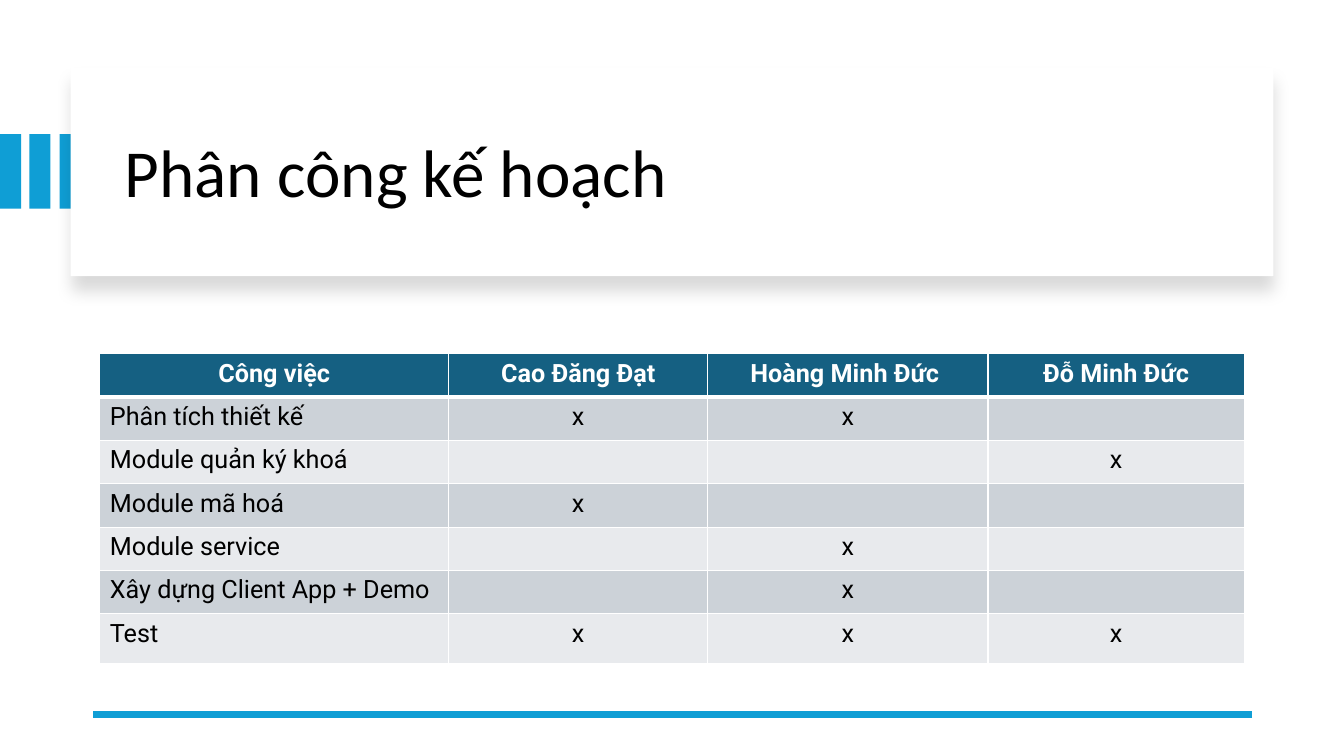
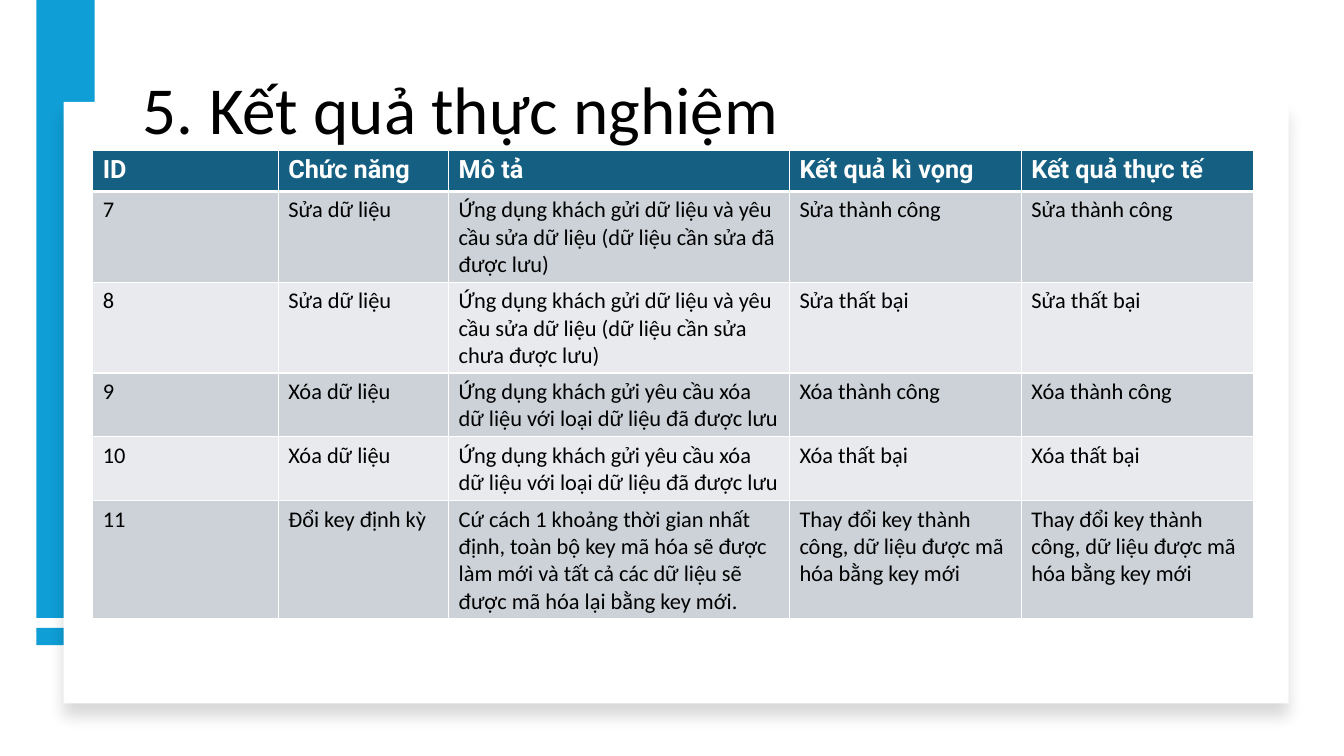
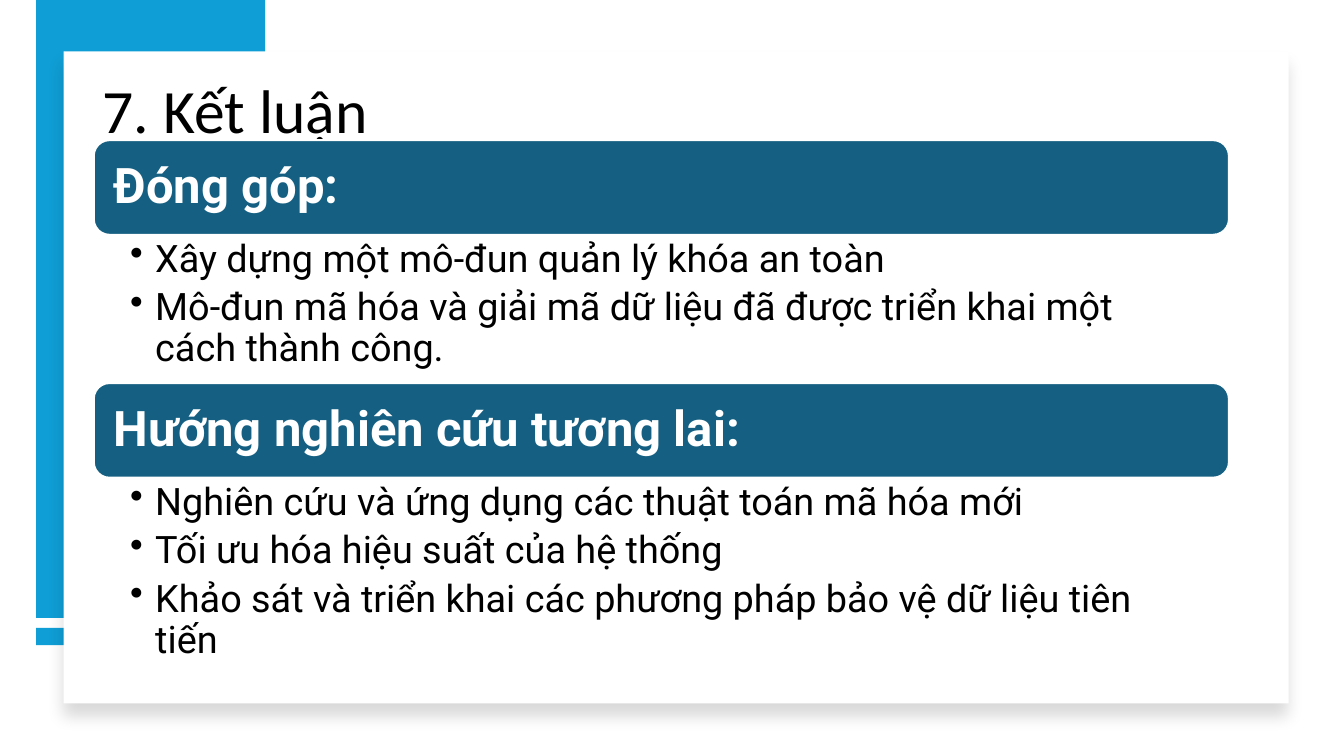
from lxml.etree import SubElement
from pptx import Presentation
from pptx.dml.color import RGBColor
from pptx.enum.shapes import MSO_CONNECTOR as CONN, MSO_SHAPE as SHAPE
from pptx.enum.text import MSO_ANCHOR as ANCHOR, PP_ALIGN as ALIGN
from pptx.oxml.ns import qn
from pptx.util import Emu, Inches, Pt


def rgb(value):
    return RGBColor.from_string(value)


def add_xml(parent, tag, **attrs):
    return SubElement(parent, qn(tag), {k: str(v) for k, v in attrs.items()})


class Deck:
    BLUE, TEAL = "0F9ED5", "156082"
    WHITE, BLACK = "FFFFFF", "000000"
    BANDS = ("CCD2D8", "E8EAED")
    HEAD_FONT, BODY_FONT = "Calibri", "Roboto"

    def __init__(self):
        self.prs = Presentation()
        self.prs.slide_width, self.prs.slide_height = Inches(13.33), Inches(7.5)
        self.s = None

    def new_slide(self):
        self.s = self.prs.slides.add_slide(self.prs.slide_layouts[6])

    def run(self, p, text, size, font, color=BLACK, bold=False):
        r = p.add_run()
        r.text = text
        r.font.size, r.font.name, r.font.bold = Pt(size), font, bold
        r.font.color.rgb = rgb(color)

    def shape(self, x, y, w, h, fill, kind=SHAPE.RECTANGLE):
        sp = self.s.shapes.add_shape(kind, Inches(x), Inches(y), Inches(w), Inches(h))
        sp.fill.solid()
        sp.fill.fore_color.rgb = rgb(fill)
        sp.line.fill.background()
        sp.shadow.inherit = False
        return sp

    def panel(self, x, y, w, h):
        """White card with a soft shadow below it."""
        sp = self.shape(x, y, w, h, self.WHITE)
        effects = sp._element.spPr.find(qn("a:effectLst"))
        shadow = add_xml(effects, "a:outerShdw", blurRad=Pt(11), dist=Pt(10),
                         dir=90 * 60000, algn="t", rotWithShape=0)
        color = add_xml(shadow, "a:srgbClr", val=self.BLACK)
        add_xml(color, "a:alpha", val=15000)

    def side_frame(self, bar_width, panel_top):
        """Blue bar and foot strip at the left, behind the card."""
        for y, h in ((0, 6.13), (6.23, 0.17)):
            self.shape(0.36, y, bar_width, h, self.BLUE)
        self.panel(0.63, panel_top, 12.15, 6.98 - panel_top)

    def text_box(self, x, y, w, h):
        box = self.s.shapes.add_textbox(Inches(x), Inches(y), Inches(w), Inches(h))
        tf = box.text_frame
        tf.word_wrap = True
        return tf

    def title(self, text, x, y, w, h, size=48, anchor=ANCHOR.MIDDLE):
        tf = self.text_box(x, y, w, h)
        tf.vertical_anchor = anchor
        p = tf.paragraphs[0]
        p.line_spacing = 0.9
        self.run(p, text, size, self.HEAD_FONT)

    def line(self, x1, y1, x2, y2, width):
        c = self.s.shapes.add_connector(CONN.STRAIGHT, Inches(x1), Inches(y1),
                                        Inches(x2), Inches(y2))
        c.line.color.rgb = rgb(self.BLUE)
        c.line.width = Pt(width)
        add_xml(c._element.spPr, "a:effectLst")

    def borders(self, cell, bottom):
        tc_pr = cell._tc.get_or_add_tcPr()
        for side, width in (("L", 1), ("R", 1), ("T", 1), ("B", bottom)):
            ln = add_xml(tc_pr, "a:ln" + side, w=Pt(width))
            add_xml(add_xml(ln, "a:solidFill"), "a:srgbClr", val=self.WHITE)

    def table(self, x, y, cols, heights, rows, size, font, centered=False):
        """Header row plus banded rows; centered leaves only body labels at left."""
        frame = self.s.shapes.add_table(len(rows), len(cols), Inches(x), Inches(y),
                                        Inches(sum(cols)), Inches(sum(heights)))
        tbl = frame.table
        for col, w in zip(tbl.columns, cols):
            col.width = Inches(w)
        for i, (row, h, texts) in enumerate(zip(tbl.rows, heights, rows)):
            row.height = Inches(h)
            head = i == 0
            for j, (cell, text) in enumerate(zip(row.cells, texts)):
                self.borders(cell, 3 if head else 1)
                cell.fill.solid()
                cell.fill.fore_color.rgb = rgb(self.TEAL if head else self.BANDS[(i - 1) % 2])
                p = cell.text_frame.paragraphs[0]
                if centered and (head or j):
                    p.alignment = ALIGN.CENTER
                if head:
                    self.run(p, text, 18, self.BODY_FONT, self.WHITE, True)
                elif text:
                    self.run(p, text, size, font)

    def section(self, y, heading, items, list_height):
        """Rounded heading bar with its bullet list under it."""
        x, w, bar_height = 0.93, 11.26, 0.94
        bar = self.shape(x, y, w, bar_height, self.TEAL, SHAPE.ROUNDED_RECTANGLE)
        bar.line.color.rgb = rgb(self.WHITE)
        bar.line.width = Pt(1.5)
        tf = bar.text_frame
        tf.word_wrap, tf.vertical_anchor = True, ANCHOR.MIDDLE
        tf.margin_left = tf.margin_right = tf.margin_top = tf.margin_bottom = Inches(0.15)
        p = tf.paragraphs[0]
        p.alignment, p.line_spacing = ALIGN.LEFT, 0.9
        self.run(p, heading, 35, self.BODY_FONT, self.WHITE, True)

        tf = self.text_box(x, y + bar_height, w, list_height)
        tf.margin_left, tf.margin_right = Inches(0.36), Inches(0.27)
        for i, item in enumerate(items):
            p = tf.add_paragraph() if i else tf.paragraphs[0]
            p.level, p.line_spacing, p.space_after = 1, 0.9, Pt(5.4)
            p_pr = p._p.get_or_add_pPr()
            indent = Emu(Inches(0.25))
            p_pr.set("marL", str(indent))
            p_pr.set("indent", str(-indent))
            add_xml(p_pr, "a:buChar", char="•")
            self.run(p, item, 27, self.BODY_FONT)


def plan_slide(deck):
    deck.new_slide()
    for x in (0, 0.29, 0.59):
        deck.shape(x, 1.33, 0.21, 0.74, deck.BLUE)
    deck.panel(0.7, 0.67, 11.93, 2.07)
    deck.title("Phân công kế hoạch", 1.14, 0.89, 11.13, 1.7)
    deck.line(12.42, 7.09, 0.92, 7.09, 4.5)
    rows = [
        ("Công việc", "Cao Đăng Đạt", "Hoàng Minh Đức ", "Đỗ Minh Đức"),
        ("Phân tích thiết kế", "x", "x", ""),
        ("Module quản ký khoá", "", "", "x"),
        ("Module mã hoá", "x", "", ""),
        ("Module service", "", "x", ""),
        ("Xây dựng Client App + Demo", "", "x", ""),
        ("Test", "x", "x", "x"),
    ]
    deck.table(0.99, 3.51, (3.46, 2.57, 2.78, 2.54), [0.43] * 6 + [0.49], rows,
               18, deck.BODY_FONT, centered=True)


def results_slide(deck):
    deck.new_slide()
    deck.side_frame(0.58, 1.01)
    deck.title("5. Kết quả thực nghiệm", 1.32, 0.05, 10.77, 1.48, anchor=ANCHOR.BOTTOM)
    edit = "Ứng dụng khách gửi dữ liệu và yêu cầu sửa dữ liệu (dữ liệu cần sửa {} được lưu)"
    delete = "Ứng dụng khách gửi yêu cầu xóa dữ liệu với loại dữ liệu đã được lưu"
    rekey = ("Cứ cách 1 khoảng thời gian nhất định, toàn bộ key mã hóa sẽ được làm mới "
             "và tất cả các dữ liệu sẽ được mã hóa lại bằng key mới.")
    # Expected and actual results agree in every test
    tests = [
        ("7", "Sửa dữ liệu", edit.format("đã"), "Sửa thành công"),
        ("8", "Sửa dữ liệu", edit.format("chưa"), "Sửa thất bại"),
        ("9", "Xóa dữ liệu", delete, "Xóa thành công"),
        ("10", "Xóa dữ liệu", delete, "Xóa thất bại"),
        ("11", "Đổi key định kỳ", rekey,
         "Thay đổi key thành công, dữ liệu được mã hóa bằng key mới"),
    ]
    rows = [("ID", "Chức năng ", "Mô tả", "Kết quả kì vọng", "Kết quả thực tế")]
    rows += [test + test[-1:] for test in tests]
    deck.table(0.92, 1.49, (1.84, 1.69, 3.38, 2.3, 2.3), [0.41] * 6, rows,
               16, deck.HEAD_FONT)


def conclusion_slide(deck):
    deck.new_slide()
    deck.side_frame(2.27, 0.51)
    deck.title("7. Kết luận", 0.92, 0.4, 11.5, 1.45, size=44)
    deck.section(1.39, "Đóng góp:", [
        "Xây dựng một mô-đun quản lý khóa an toàn",
        "Mô-đun mã hóa và giải mã dữ liệu đã được triển khai một cách thành công.",
    ], 1.47)
    deck.section(3.8, "Hướng nghiên cứu tương lai:", [
        "Nghiên cứu và ứng dụng các thuật toán mã hóa mới ",
        "Tối ưu hóa hiệu suất của hệ thống ",
        "Khảo sát và triển khai các phương pháp bảo vệ dữ liệu tiên tiến",
    ], 1.94)


def main():
    deck = Deck()
    plan_slide(deck)
    results_slide(deck)
    conclusion_slide(deck)
    deck.prs.save("out.pptx")


if __name__ == "__main__":
    main()
